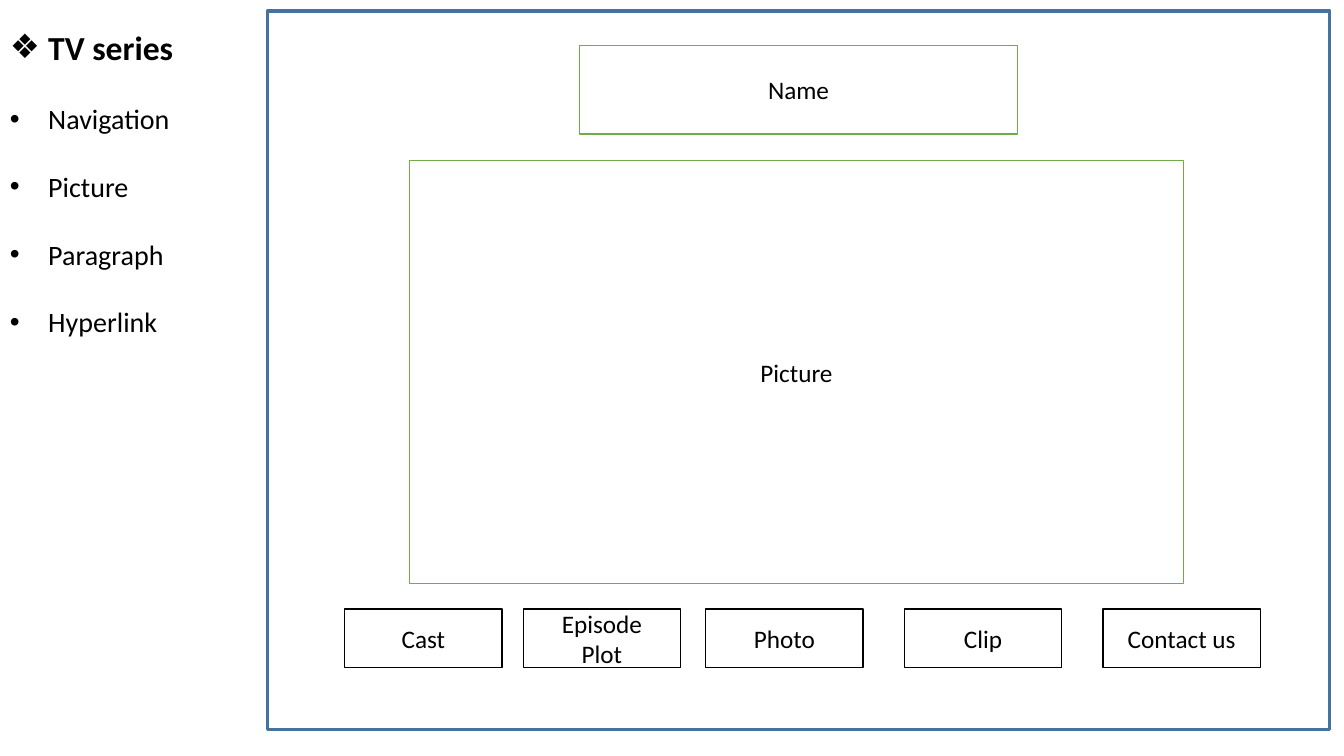
from pptx import Presentation
from pptx.dml.color import RGBColor
from pptx.enum.shapes import MSO_SHAPE as Shape
from pptx.enum.text import MSO_ANCHOR as Anchor, MSO_AUTO_SIZE as AutoSize, PP_ALIGN as Align
from pptx.oxml.ns import qn
from pptx.util import Inches, Pt
from lxml import etree

# Content
HEADING = "TV series"
ELEMENTS = ["Navigation", "Picture", "Paragraph", "Hyperlink"]
PANELS = [
    (["Name"], (5.75, 0.45, 4.34, 0.88)),
    (["Picture"], (4.06, 1.59, 7.68, 4.2)),
]
BUTTONS = [
    (["Cast"], 3.42),
    (["Episode", "Plot"], 5.19),
    (["Photo"], 7),
    (["Clip"], 8.97),
    (["Contact us"], 10.94),
]

# Format values
COLORS = {"frame": "43739E", "panel": "70AD47", "button": "000000",
          "fill": "FFFFFF", "text": "000000"}
FONT = "Calibri"
FRAME = (2.65, 0.11, 10.54, 7.13)
SIDEBAR = (0, 0.22, 2.49, 3.87)
BUTTON_TOP, BUTTON_WIDTH, BUTTON_HEIGHT = 6.04, 1.56, 0.58
INDENT = Inches(0.38)
ITEM_GAP = Pt(24.4)


def color(name):
    return RGBColor.from_string(COLORS[name])


def add_span(para, text, size, bold=False):
    span = para.add_run()
    span.text = text
    for key, value in {"name": FONT, "size": Pt(size), "bold": bold}.items():
        setattr(span.font, key, value)
    span.font.color.rgb = color("text")


def add_bullet(para, symbol):
    properties = para._p.get_or_add_pPr()
    for key, value in {"marL": INDENT, "indent": -INDENT}.items():
        properties.set(key, str(value))
    etree.SubElement(properties, qn("a:buFont")).set("typeface", "Arial")
    etree.SubElement(properties, qn("a:buChar")).set("char", symbol)


def add_box(page, place, line, width=1, lines=()):
    box = page.shapes.add_shape(Shape.RECTANGLE, *map(Inches, place))
    box.shadow.inherit = False
    box.line.color.rgb = color(line)
    box.line.width = Pt(width)
    if not lines:
        box.fill.background()
        return
    box.fill.solid()
    box.fill.fore_color.rgb = color("fill")
    frame = box.text_frame
    frame.vertical_anchor = Anchor.MIDDLE
    for index, text in enumerate(lines):
        para = frame.add_paragraph() if index else frame.paragraphs[0]
        para.alignment = Align.CENTER
        add_span(para, text, 18)


def add_sidebar(page):
    frame = page.shapes.add_textbox(*map(Inches, SIDEBAR)).text_frame
    frame.word_wrap = True
    frame.auto_size = AutoSize.SHAPE_TO_FIT_TEXT
    heading = frame.paragraphs[0]
    add_bullet(heading, "❖")
    add_span(heading, HEADING, 24, bold=True)
    for text in ELEMENTS:
        para = frame.add_paragraph()
        para.space_before = ITEM_GAP
        add_bullet(para, "•")
        add_span(para, text, 20)


def main():
    deck = Presentation()
    deck.slide_width, deck.slide_height = Inches(13.33), Inches(7.5)
    page = deck.slides.add_slide(deck.slide_layouts[6])

    # Page frame and list of elements
    add_box(page, FRAME, "frame", 2.25)
    add_sidebar(page)

    # Name and picture panels
    for lines, place in PANELS:
        add_box(page, place, "panel", lines=lines)

    # Row of navigation buttons
    for lines, left in BUTTONS:
        place = (left, BUTTON_TOP, BUTTON_WIDTH, BUTTON_HEIGHT)
        add_box(page, place, "button", lines=lines)

    deck.save("out.pptx")


if __name__ == "__main__":
    main()
